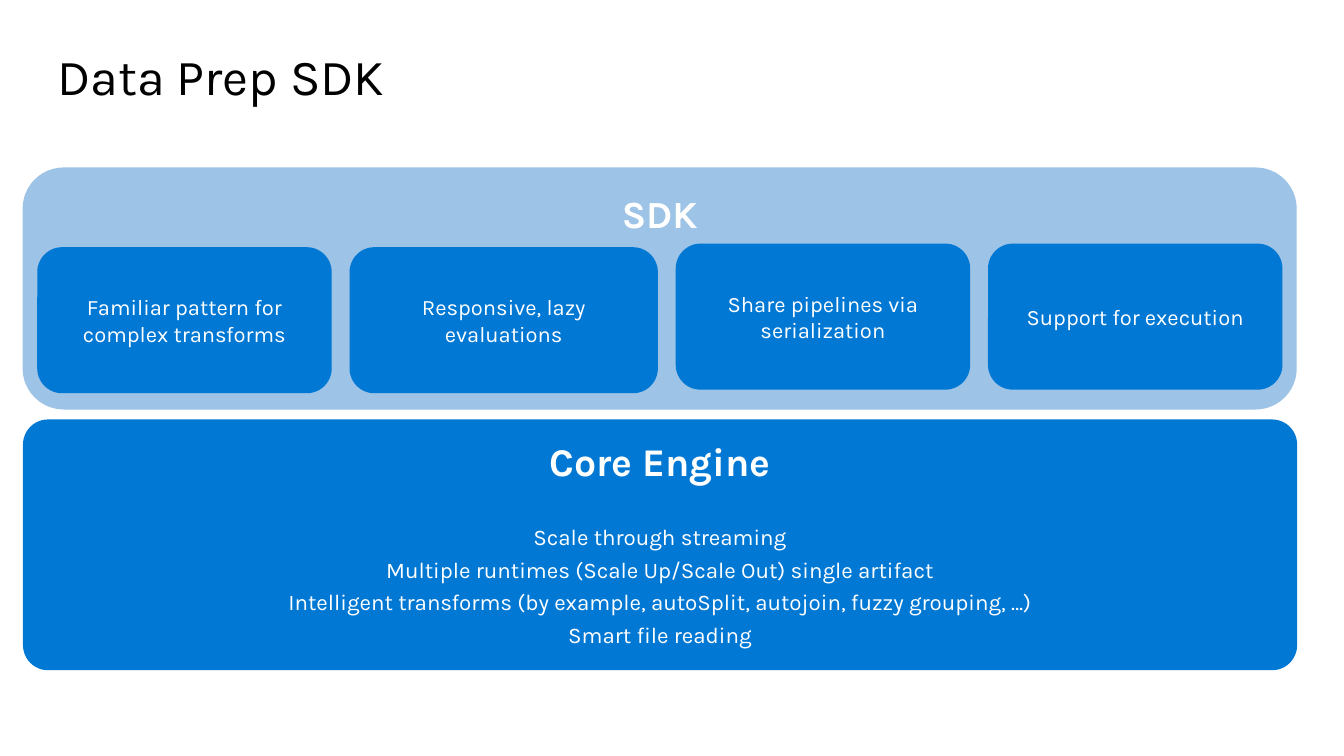
from pptx import Presentation
from pptx import util as u
from pptx.dml.color import RGBColor
from pptx.enum import shapes, text

BLUE, PALE, WHITE, BLACK = "0078D4", "9DC3E6", "FFFFFF", "000000"
CARDS = [
    ("Familiar pattern for complex transforms", 7.42, 2.01),
    ("Responsive, lazy evaluations", 7.77, 2.01),
    ("Share pipelines via serialization", 7.42, 1.92),
    ("Support for execution", 7.42, 1.92),
]
FACTS = [
    "Scale through streaming",
    "Multiple runtimes (Scale Up/Scale Out) single artifact",
    "Intelligent transforms (by example, autoSplit, autojoin, fuzzy grouping, …)",
    "Smart file reading",
]


def tint(code):
    """Turn a hex string into a colour."""
    return RGBColor.from_string(code)


def write(para, words, size=16, color=WHITE, bold=False, align="CENTER", after=0, line=0.9):
    """Fill one paragraph with formatted text."""
    para.alignment = getattr(text.PP_ALIGN, align)
    para.line_spacing = line
    para.space_before, para.space_after = u.Pt(0), u.Pt(after)
    run = para.add_run()
    run.text = words
    font = run.font
    font.name, font.size, font.bold = "Karla", u.Pt(size), bold
    font.color.rgb = tint(color)


def frame(shape, pads, anchor="TOP"):
    """Set insets, wrapping and anchor, and return the text frame."""
    body = shape.text_frame
    body.word_wrap = True
    body.auto_size = text.MSO_AUTO_SIZE.NONE
    body.vertical_anchor = getattr(text.MSO_ANCHOR, anchor)
    body.margin_left, body.margin_top, body.margin_right, body.margin_bottom = map(u.Cm, pads)
    return body


def panel(slide, box, fill, round=0.17, anchor="TOP"):
    """Draw a rounded panel and return its text frame."""
    shape = slide.shapes.add_shape(shapes.MSO_SHAPE.ROUNDED_RECTANGLE, *map(u.Cm, box))
    shape.adjustments[0] = round
    shape.shadow.inherit = False
    shape.fill.solid()
    shape.fill.fore_color.rgb = tint(fill)
    shape.line.fill.background()
    return frame(shape, (0.51, 0.41, 0.51, 0.41), anchor)


def head(slide, box):
    """Place the slide title."""
    title = slide.shapes.title
    title.left, title.top, title.width, title.height = map(u.Cm, box)
    body = frame(title, (0.25, 0.46, 0, 0))
    write(body.paragraphs[0], "Data Prep SDK", size=36, color=BLACK, align="LEFT")


def sdk(slide, box):
    """Draw the SDK panel with its row of cards."""
    body = panel(slide, box, PALE)
    write(body.paragraphs[0], "SDK", size=27.4, bold=True, after=6)
    left, top = box[0] + 0.37, box[1]
    for words, wide, drop in CARDS:
        card = panel(slide, (left, top + drop, wide, 3.68), BLUE, anchor="MIDDLE")
        write(card.paragraphs[0], words, size=15.7, line=1.0)
        left += wide + 0.45


def core(slide, box):
    """Draw the core engine panel with its facts."""
    body = panel(slide, box, BLUE, round=0.1)
    write(body.paragraphs[0], "Core Engine", size=28, bold=True, after=29)
    for fact in FACTS:
        write(body.add_paragraph(), fact, after=6.1)


def main():
    """Build and save the slide."""
    deck = Presentation()
    deck.slide_width, deck.slide_height = u.Cm(33.87), u.Cm(19.05)
    slide = deck.slides.add_slide(deck.slide_layouts[5])
    core(slide, (0.58, 10.57, 32.11, 6.32))
    head(slide, (1.19, 0.84, 31.5, 2.11))
    sdk(slide, (0.57, 4.22, 32.11, 6.1))
    deck.save("out.pptx")


if __name__ == "__main__":
    main()
